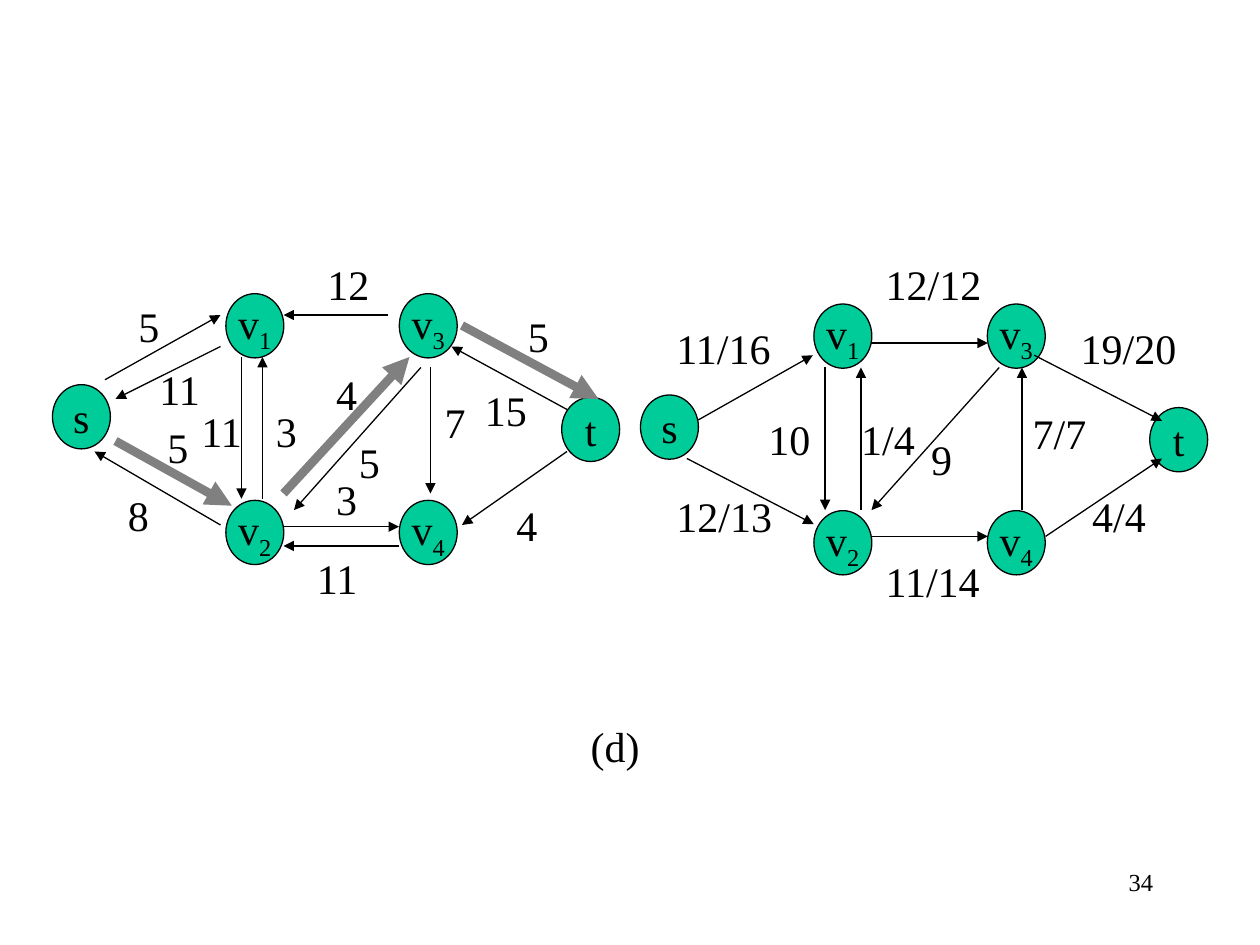
"""Build a slide with a residual network beside its flow network."""
from lxml import etree
from pptx import Presentation
from pptx.dml.color import RGBColor
from pptx.enum.shapes import MSO_CONNECTOR, MSO_SHAPE
from pptx.enum.text import MSO_ANCHOR, PP_ALIGN
from pptx.oxml.ns import qn
from pptx.util import Pt

STRAIGHT, OVAL = MSO_CONNECTOR.STRAIGHT, MSO_SHAPE.OVAL
MIDDLE = MSO_ANCHOR.MIDDLE
LEFT, CENTER, RIGHT = PP_ALIGN.LEFT, PP_ALIGN.CENTER, PP_ALIGN.RIGHT

FONT = "Times New Roman"
COLORS = {"ink": "000000", "node": "00CC99", "path": "808080"}
NODE_WIDTH, NODE_HEIGHT = 33.1, 36.7
LABEL_HEIGHT = 36
CHAR_WIDTHS = {"/": 6.7, "(": 8, ")": 8}

NODES = [
    ("s", "", 0, 52), ("v", "2", 99.1, 118.1), ("v", "4", 198.2, 118.1),
    ("t", "", 291, 59.2), ("v", "3", 198.2, 0), ("v", "1", 99.1, 0),
]
RESIDUAL = {
    "origin": (30, 167.8),
    "edges": [
        (60, 217, 126, 180), (162, 301, 228, 301), (138, 204, 138, 285),
        (150, 285, 150, 204), (240.5, 210, 168, 291.5), (126, 198, 66, 228),
        (222, 180, 162, 180), (228, 312, 162, 312), (246, 210, 246, 282),
        (324, 258, 264, 300), (324, 234, 258, 198), (126, 300, 54, 258),
    ],
    "augmenting": [
        (66, 252, 132.5, 289), (162, 282, 234, 204), (264, 186, 342, 228),
    ],
    "labels": [
        ("5", 198, 246), ("5", 72, 168), ("8", 66, 276), ("11", 108, 228),
        ("3", 150.5, 228), ("4", 288, 282), ("7", 247, 223), ("11", 174, 312),
        ("11", 84, 204), ("12", 180, 144), ("4", 185, 207), ("3", 185, 267),
        ("5", 294.5, 174), ("15", 270, 216), ("5", 88.5, 237.5),
    ],
}
FLOW = {
    "origin": (366, 173.7),
    "edges": [
        (399, 240, 464.5, 203), (498, 196, 564.5, 196),
        (591, 203, 664, 240.5), (392.5, 262, 465, 299.5),
        (498, 306.5, 564.5, 306.5), (597.5, 306.5, 664, 262),
        (471.5, 210, 471.5, 291.5), (492, 291.5, 492, 210),
        (584, 291.5, 584, 210), (571, 210, 498, 291.5),
    ],
    "augmenting": [],
    "labels": [
        ("9", 525, 244), ("11/16", 379.5, 180.5), ("12/13", 379.5, 277),
        ("12/12", 499, 144), ("10", 432, 232.5), ("1/4", 485, 232.5),
        ("19/20", 610.5, 180.5), ("4/4", 617, 277), ("7/7", 583, 229.5),
        ("11/14", 499, 314),
    ],
}
CAPTION = ("(d)", 330.5, 408)
PAGE_NUMBER = ("34", 516, 492, 150)


def rgb(name):
    return RGBColor.from_string(COLORS[name])


def style_text(frame, size, align):
    frame.word_wrap = False
    paragraph = frame.paragraphs[0]
    paragraph.alignment = align
    for run in paragraph.runs:
        run.font.name, run.font.size = FONT, Pt(size)
        run.font.color.rgb = rgb("ink")


def add_node(slide, letter, index, left, top):
    node = slide.shapes.add_shape(
        OVAL, Pt(left), Pt(top), Pt(NODE_WIDTH), Pt(NODE_HEIGHT))
    node.shadow.inherit = False
    node.fill.solid()
    node.fill.fore_color.rgb = rgb("node")
    node.line.color.rgb = rgb("ink")
    node.line.width = Pt(0.75)
    frame = node.text_frame
    frame.text = letter
    frame.vertical_anchor = MIDDLE
    if index:
        subscript = frame.paragraphs[0].add_run()
        subscript.text = index
        subscript._r.get_or_add_rPr().set("baseline", "-25000")
    style_text(frame, 24, CENTER)


def add_edge(slide, ends, color, width):
    edge = slide.shapes.add_connector(STRAIGHT, *map(Pt, ends))
    edge.line.color.rgb = rgb(color)
    edge.line.width = Pt(width)
    etree.SubElement(edge.line._get_or_add_ln(), qn("a:tailEnd"), type="triangle")
    etree.SubElement(edge._element.spPr, qn("a:effectLst"))


def add_label(slide, text, left, top, width=None, size=24, align=LEFT):
    width = width or 14.4 + sum(CHAR_WIDTHS.get(char, 12) for char in text)
    label = slide.shapes.add_textbox(Pt(left), Pt(top), Pt(width), Pt(LABEL_HEIGHT))
    label.text_frame.text = text
    style_text(label.text_frame, size, align)
    label.text_frame.word_wrap = align == RIGHT


def add_network(slide, network):
    origin_left, origin_top = network["origin"]
    for letter, index, left, top in NODES:
        add_node(slide, letter, index, origin_left + left, origin_top + top)
    for ends in network["edges"]:
        add_edge(slide, ends, "ink", 0.75)
    for ends in network["augmenting"]:
        add_edge(slide, ends, "path", 5)
    for label in network["labels"]:
        add_label(slide, *label)


def main():
    deck = Presentation()
    deck.slide_width, deck.slide_height = Pt(720), Pt(540)
    slide = deck.slides.add_slide(deck.slide_layouts[6])
    for network in (RESIDUAL, FLOW):
        add_network(slide, network)
    add_label(slide, *CAPTION)
    add_label(slide, *PAGE_NUMBER, size=14, align=RIGHT)
    deck.save("out.pptx")


if __name__ == "__main__":
    main()
